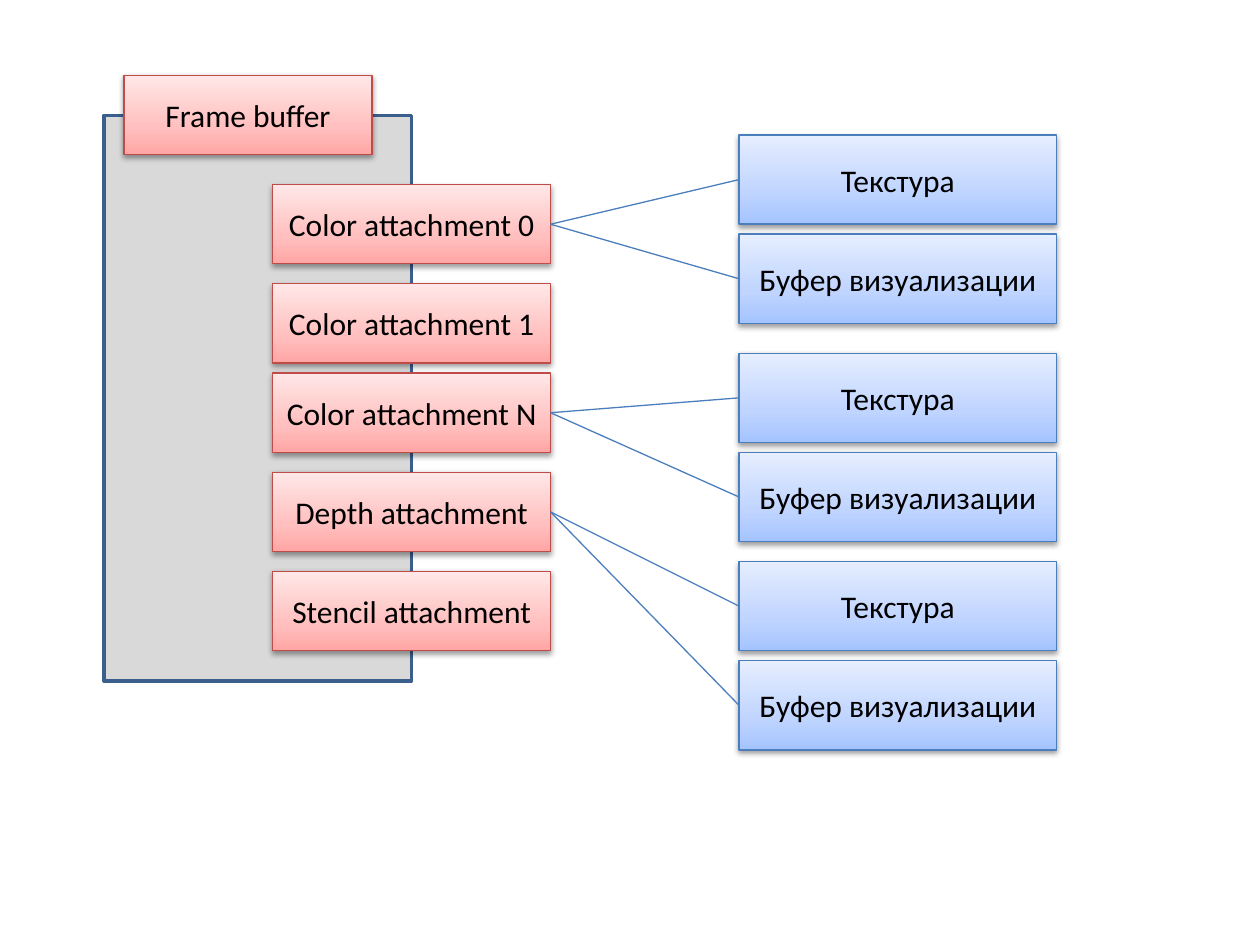
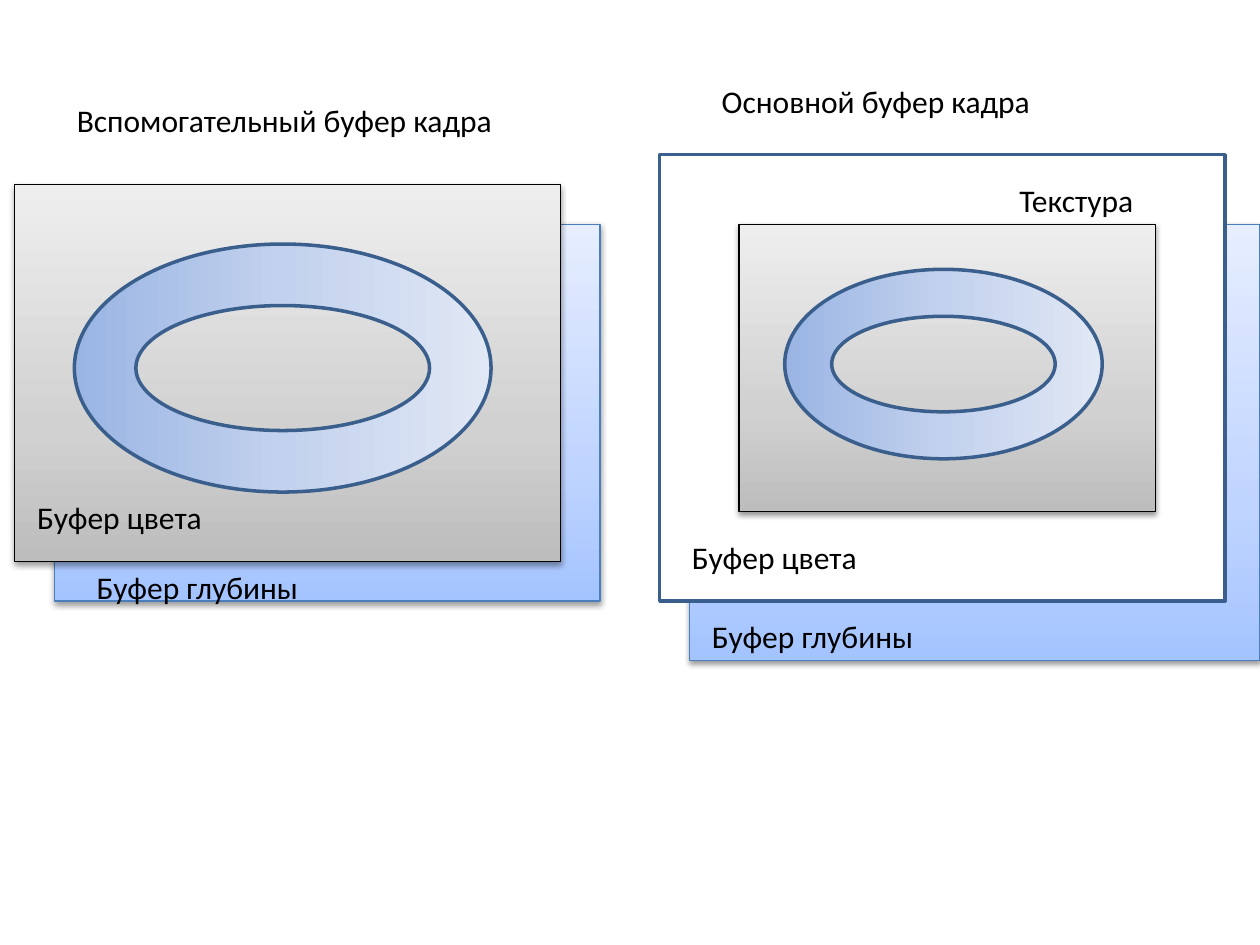
"""Build two slides on frame buffers and their attachments."""
from dataclasses import dataclass

from lxml import etree
from pptx import Presentation
from pptx import util as u
from pptx.dml.color import RGBColor
from pptx.enum import shapes as s, text as t
from pptx.oxml import ns


@dataclass(frozen=True)
class Look:
    """Fill stops, gradient angle, line and shadow of a shape."""
    stops: tuple
    line: str
    width: float = 0.75
    angle: int = 270
    shadow: bool = True


@dataclass(frozen=True)
class Theme:
    """Colours and type sizes of the deck."""
    font: str = "Calibri"
    size: int = 18
    ink: str = "000000"
    link: str = "4B7EBC"
    thin: float = 0.75
    red: Look = Look(((0, "FFA6A5"), (35, "FFC0BF"), (100, "FFE7E7")), "BF4C48")
    blue: Look = Look(((0, "A4C4FF"), (35, "BFD4FF"), (100, "E6EEFF")), "4B7EBC")
    gray: Look = Look(((0, "BDBDBD"), (35, "D1D1D1"), (100, "EEEEEE")), "000000")
    ring: Look = Look(((0, "9AB5E4"), (50, "C2D1ED"), (100, "E1E8F5")),
                      "3A5F8C", 2, 0, False)
    panel: Look = Look(((0, "D9D9D9"),), "3A5F8C", 2, 0, False)
    white: Look = Look(((0, "FFFFFF"),), "3A5F8C", 2, 0, False)


THEME = Theme()
RECT, DONUT = s.MSO_SHAPE.RECTANGLE, s.MSO_SHAPE.DONUT
LEFT, RIGHT = 1, 3


def put(item, **vals):
    """Set each named attribute of an item."""
    for name, val in vals.items():
        setattr(item, name, val)


def sub(parent, tag, **vals):
    """Append a drawing element with attributes."""
    return etree.SubElement(parent, ns.qn("a:" + tag),
                            {key: str(val) for key, val in vals.items()})


def stroke(line, color, width):
    """Give a line its colour and width."""
    line.color.rgb = RGBColor.from_string(color)
    line.width = u.Pt(width)


def blend(shape, look):
    """Fill a shape with the gradient of a look."""
    shape.fill.gradient()
    grad = shape._element.spPr.find(ns.qn("a:gradFill"))
    for child in list(grad):
        grad.remove(child)
    stops = sub(grad, "gsLst")
    for pos, color in look.stops:
        sub(sub(stops, "gs", pos=pos * 1000), "srgbClr", val=color)
    sub(grad, "lin", ang=look.angle * 60000, scaled=0)


def shade(shape):
    """Add the soft shadow below a shape."""
    fx = shape._element.spPr.find(ns.qn("a:effectLst"))
    drop = sub(fx, "outerShdw", blurRad=40000, dist=20000, dir=5400000,
               rotWithShape=0)
    sub(sub(drop, "srgbClr", val="000000"), "alpha", val=38000)


def write(frame, words, align):
    """Write one line of text in the theme font."""
    para = frame.paragraphs[0]
    para.alignment = align
    run = para.add_run()
    run.text = words
    put(run.font, name=THEME.font, size=u.Pt(THEME.size))
    run.font.color.rgb = RGBColor.from_string(THEME.ink)


def block(host, look, at, words="", kind=RECT):
    """Draw a filled shape, with centred words if given."""
    shape = host.shapes.add_shape(kind, *map(u.Cm, at))
    shape.shadow.inherit = False
    if len(look.stops) > 1:
        blend(shape, look)
    else:
        shape.fill.solid()
        shape.fill.fore_color.rgb = RGBColor.from_string(look.stops[0][1])
    stroke(shape.line, look.line, look.width)
    if look.shadow:
        shade(shape)
    if words:
        shape.text_frame.vertical_anchor = t.MSO_ANCHOR.MIDDLE
        write(shape.text_frame, words, t.PP_ALIGN.CENTER)
    return shape


def ring(host, at):
    """Draw a ring."""
    block(host, THEME.ring, at, kind=DONUT).adjustments[0] = 0.248


def label(slide, words, left, top, width):
    """Place a line of text."""
    box = slide.shapes.add_textbox(*map(u.Cm, (left, top, width, 1.02)))
    put(box.text_frame, word_wrap=False, auto_size=t.MSO_AUTO_SIZE.SHAPE_TO_FIT_TEXT)
    write(box.text_frame, words, t.PP_ALIGN.LEFT)


def link(slide, start, end):
    """Join the right side of one box to the left side of another."""
    line = slide.shapes.add_connector(s.MSO_CONNECTOR.STRAIGHT, 0, 0, 0, 0)
    line.begin_connect(start, RIGHT)
    line.end_connect(end, LEFT)
    stroke(line.line, THEME.link, THEME.thin)
    sub(line._element.spPr, "effectLst")


def attach(slide):
    """Draw the frame buffer, its attachments and their targets."""
    block(slide, THEME.panel, (2.1, 2.33, 6.2, 11.4))
    block(slide, THEME.red, (2.5, 1.52, 5, 1.6), "Frame buffer")
    slots = {"Color attachment 0": 3.72, "Color attachment 1": 5.72,
             "Color attachment N": 7.52, "Depth attachment": 9.52,
             "Stencil attachment": 11.52}
    boxes = {name: block(slide, THEME.red, (5.5, top, 5.6, 1.6), name)
             for name, top in slots.items()}
    pairs = {"Color attachment 0": 2.72, "Color attachment N": 7.12,
             "Depth attachment": 11.32}
    for name, top in pairs.items():
        for row, words in enumerate(("Текстура", "Буфер визуализации")):
            goal = block(slide, THEME.blue, (14.9, top + 2 * row, 6.4, 1.8), words)
            link(slide, boxes[name], goal)


def buffers(slide):
    """Draw the auxiliary and the main frame buffer."""
    block(slide, THEME.blue, (13.9, 4.52, 11.5, 8.8))
    block(slide, THEME.blue, (1.1, 4.52, 11, 7.6))
    block(slide, THEME.gray, (0.3, 3.72, 11, 7.6))
    ring(slide, (1.5, 4.92, 8.4, 5))
    block(slide, THEME.white, (13.3, 3.12, 11.4, 9))
    group = slide.shapes.add_group_shape()
    block(group, THEME.gray, (14.9, 4.52, 8.4, 5.8))
    ring(group, (15.82, 5.43, 6.4, 3.82))
    for item in (("Вспомогательный буфер кадра", 1.3, 1.92, 8.97),
                 ("Основной буфер кадра", 14.3, 1.52, 6.81),
                 ("Буфер цвета", 0.5, 9.92, 3.86),
                 ("Буфер глубины", 1.7, 11.32, 4.62),
                 ("Буфер глубины", 14.1, 12.32, 4.62),
                 ("Буфер цвета", 13.7, 10.72, 3.86),
                 ("Текстура", 20.3, 3.52, 2.82)):
        label(slide, *item)


def main():
    """Build and save the deck."""
    deck = Presentation()
    put(deck, slide_width=u.Cm(25.4), slide_height=u.Cm(19.05))
    for draw in (attach, buffers):
        draw(deck.slides.add_slide(deck.slide_layouts[6]))
    deck.save("out.pptx")


if __name__ == "__main__":
    main()
